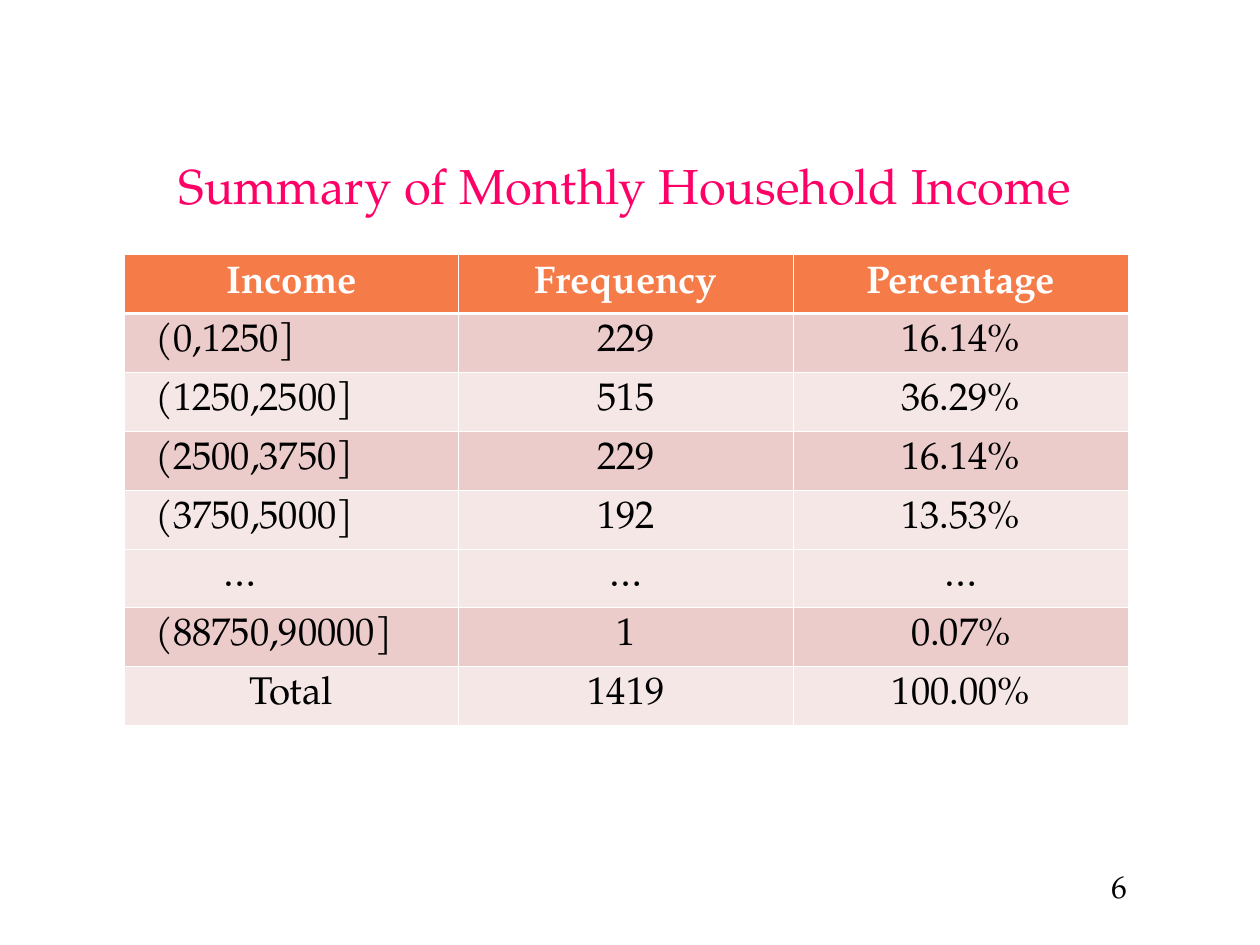
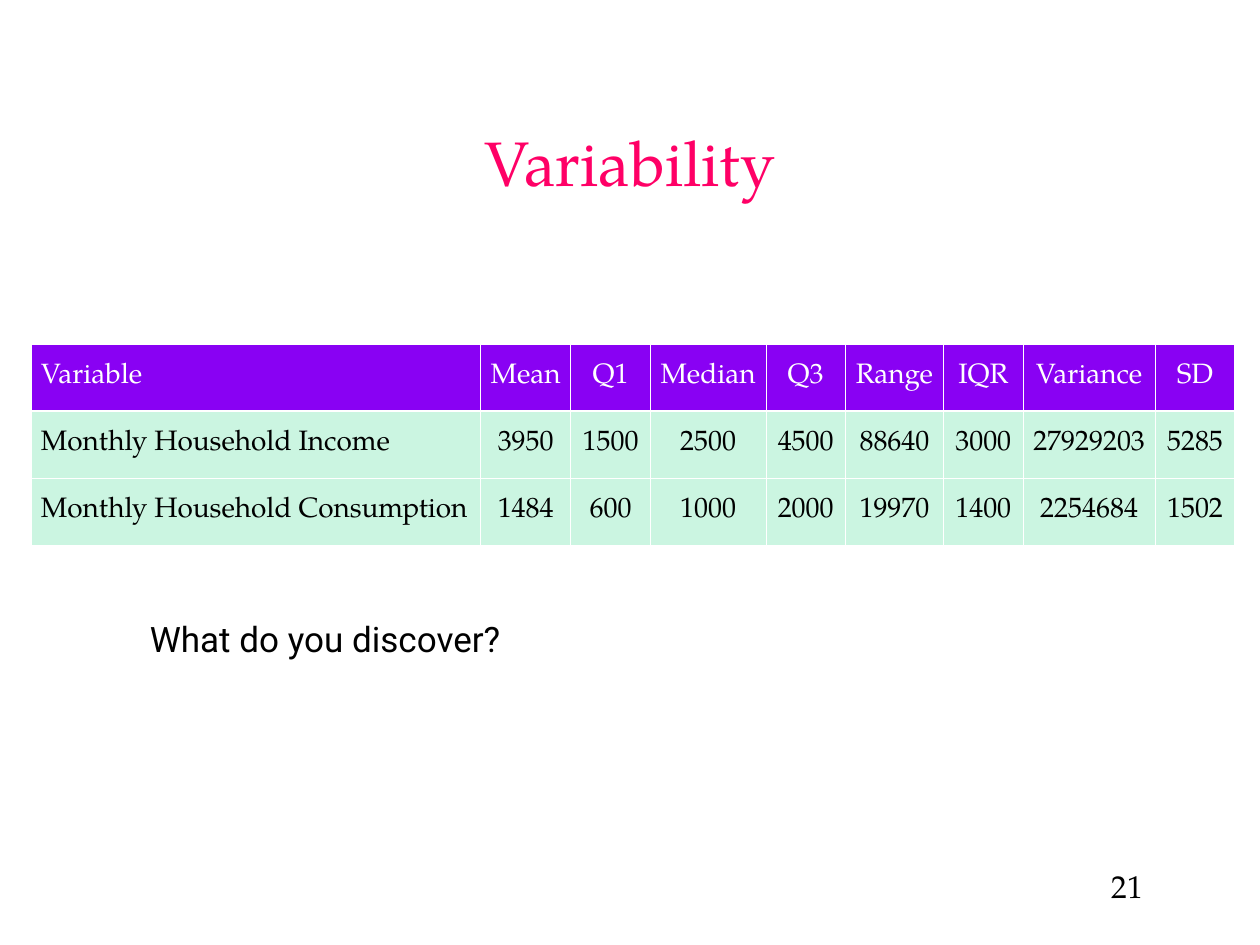
from pptx import Presentation
from pptx.util import Pt
from pptx.dml.color import RGBColor
from pptx.enum.text import PP_ALIGN, MSO_ANCHOR
from pptx.oxml.ns import qn
from lxml.etree import SubElement

SERIF, SANS = "TeX Gyre Pagella", "Roboto"
BLACK = RGBColor(0x00, 0x00, 0x00)
WHITE = RGBColor(0xFF, 0xFF, 0xFF)
PINK = RGBColor(0xFF, 0x00, 0x66)
ORANGE = RGBColor(0xF5, 0x7B, 0x49)
ROSE = RGBColor(0xEC, 0xCB, 0xCB)
PALE_ROSE = RGBColor(0xF6, 0xE7, 0xE7)
PURPLE = RGBColor(0x89, 0x01, 0xF3)
MINT = RGBColor(0xCB, 0xF5, 0xE1)
THIN, THICK = 0.45, 1.47

INCOME_ROWS = [
    ("Income", "Frequency", "Percentage"),
    ("(0,1250]", "229", "16.14%"),
    ("(1250,2500]", "515", "36.29%"),
    ("(2500,3750]", "229", "16.14%"),
    ("(3750,5000]", "192", "13.53%"),
    ("…", "…", "…"),
    ("(88750,90000]", "1", "0.07%"),
    ("Total", "1419", "100.00%"),
]
INCOME_FILLS = [ORANGE, ROSE, PALE_ROSE, ROSE, PALE_ROSE, PALE_ROSE, ROSE, PALE_ROSE]

VARIABILITY_ROWS = [
    ("Variable", "Mean", "Q1", "Median", "Q3", "Range", "IQR", "Variance", "SD"),
    ("Monthly Household Income", "3950", "1500", "2500", "4500", "88640",
     "3000", "27929203", "5285"),
    ("Monthly Household Consumption", "1484", "600", "1000", "2000", "19970",
     "1400", "2254684", "1502"),
]
VARIABILITY_FILLS = [PURPLE, MINT, MINT]
VARIABILITY_WIDTHS = [256.7, 51.5, 45.5, 66, 45.5, 56, 45.5, 75.5, 45.5]


def style(p, size, color, align=PP_ALIGN.LEFT, font=SERIF, bold=False):
    p.alignment = align
    p.font.name, p.font.size, p.font.bold = font, Pt(size), bold
    p.font.color.rgb = color


def add_text(s, box, text, size, color, anchor=MSO_ANCHOR.TOP, **look):
    sp = s.shapes.add_textbox(*map(Pt, box))
    tf = sp.text_frame
    tf.word_wrap = True
    tf.vertical_anchor = anchor
    tf.text = text
    style(tf.paragraphs[0], size, color, **look)
    return tf


def add_title(s, box, text, size):
    tf = add_text(s, box, text, size, PINK, MSO_ANCHOR.BOTTOM, align=PP_ALIGN.CENTER)
    tf.margin_bottom = Pt(0)


def add_page_number(s, number):
    tf = add_text(s, (619, 491.8, 101, 33), str(number), 18, BLACK)
    tf.margin_left = Pt(16.4)


def set_borders(cell, top, bottom):
    """White rules around a cell; they must precede its fill."""
    tcPr = cell._tc.get_or_add_tcPr()
    sides = [("a:lnL", THIN), ("a:lnR", THIN), ("a:lnT", top), ("a:lnB", bottom)]
    for i, (tag, width) in enumerate(sides):
        ln = SubElement(tcPr, qn(tag), w=str(int(Pt(width))))
        SubElement(SubElement(ln, qn("a:solidFill")), qn("a:srgbClr"), val=str(WHITE))
        tcPr.insert(i, ln)


def add_data_table(s, left, top, widths, row_height, rows, fills, size,
                   bold_header=False, side_margin=7.2):
    """Table with a header row; the first column is left-aligned."""
    frame = s.shapes.add_table(len(rows), len(widths), Pt(left), Pt(top),
                               Pt(sum(widths)), Pt(row_height * len(rows)))
    table = frame.table
    for column, width in zip(table.columns, widths):
        column.width = Pt(width)
    for r, (values, fill) in enumerate(zip(rows, fills)):
        table.rows[r].height = Pt(row_height)
        for c, value in enumerate(values):
            cell = table.cell(r, c)
            cell.text = value
            cell.vertical_anchor = MSO_ANCHOR.MIDDLE
            cell.margin_left = cell.margin_right = Pt(side_margin)
            cell.fill.solid()
            cell.fill.fore_color.rgb = fill
            set_borders(cell, THICK if r == 1 else THIN, THICK if r == 0 else THIN)
            style(cell.text_frame.paragraphs[0], size, WHITE if r == 0 else BLACK,
                  PP_ALIGN.CENTER if c else PP_ALIGN.LEFT,
                  bold=bold_header and r == 0)
    return table


def build_income_slide(s):
    add_page_number(s, 6)
    add_title(s, (42, 54.7, 630, 67.7), "Summary of Monthly Household Income", 28)
    table = add_data_table(s, 70.8, 145.6, [191.3] * 3, 33.1, INCOME_ROWS,
                           INCOME_FILLS, 22, bold_header=True)
    # Header and total labels are centred; the income classes are indented
    for r, row in enumerate(INCOME_ROWS):
        cell = table.cell(r, 0)
        if row[0] in ("Income", "Total"):
            cell.text_frame.paragraphs[0].alignment = PP_ALIGN.CENTER
        else:
            cell.margin_left = Pt(56.7 if row[0] == "…" else 18.2)


def build_variability_slide(s):
    add_page_number(s, 21)
    add_title(s, (54, 49.7, 612, 64), "Variability", 36)
    add_data_table(s, 18, 196.6, VARIABILITY_WIDTHS, 38.3, VARIABILITY_ROWS,
                   VARIABILITY_FILLS, 16, side_margin=5.4)
    # Closing question
    add_text(s, (78.5, 349.2, 295, 31.7), "What do you discover?", 20, BLACK, font=SANS)


def main():
    prs = Presentation()
    prs.slide_width, prs.slide_height = Pt(720), Pt(540)
    for build in (build_income_slide, build_variability_slide):
        build(prs.slides.add_slide(prs.slide_layouts[6]))
    prs.save("out.pptx")


if __name__ == "__main__":
    main()
